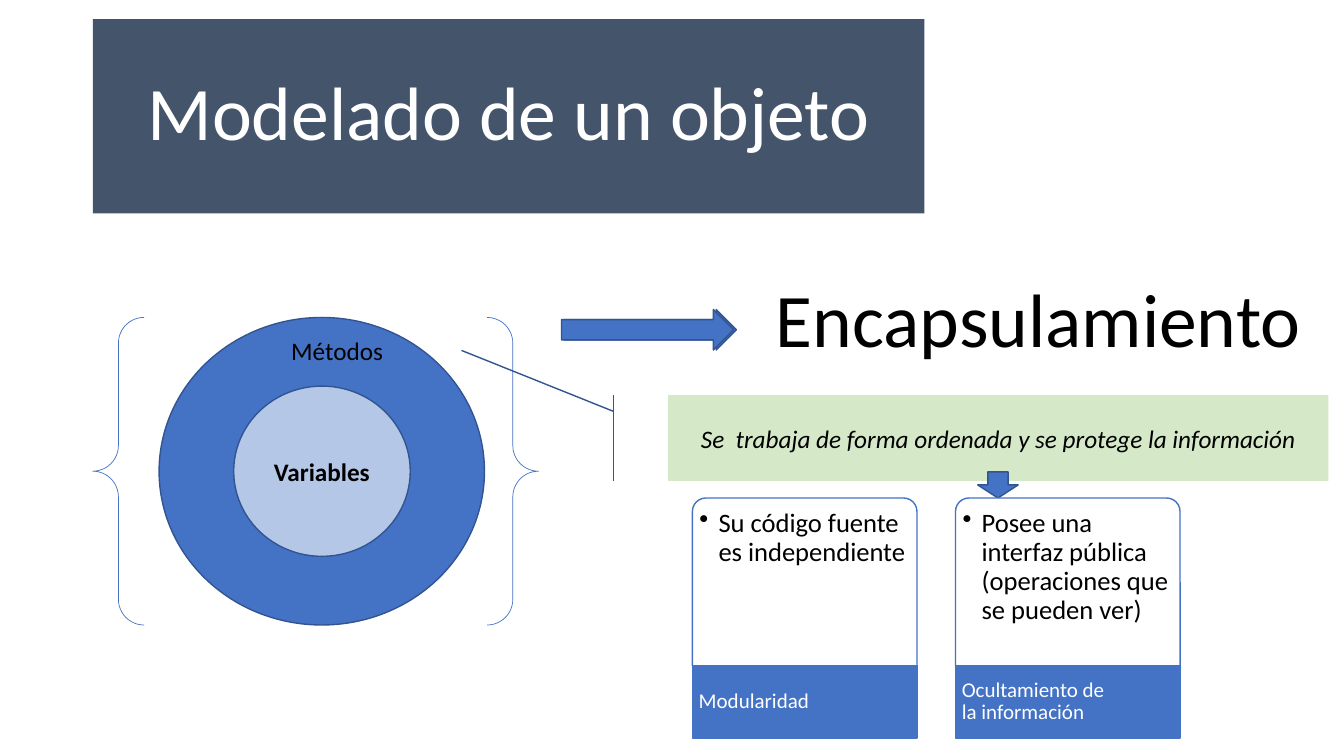
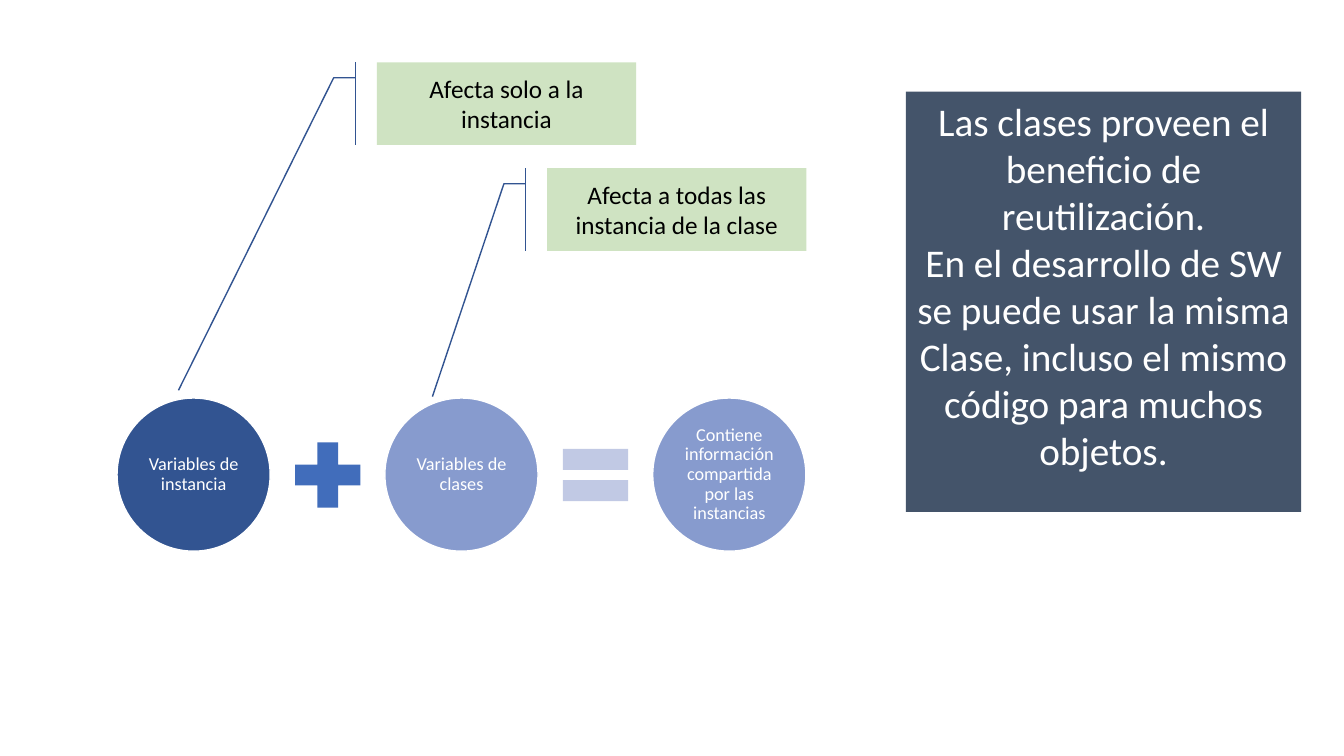
from lxml.etree import SubElement
from pptx import Presentation
from pptx.dml.color import RGBColor
from pptx.enum.shapes import MSO_SHAPE
from pptx.enum.text import MSO_ANCHOR, PP_ALIGN
from pptx.oxml.ns import qn
from pptx.util import Cm, Pt

FONT = "Calibri"
COLORS = {
    "white": "FFFFFF",
    "black": "000000",
    "slate": "44546A",
    "blue": "4472C4",
    "dark_blue": "325491",
    "pale_blue": "B4C7E7",
    "plus_blue": "416DBB",
    "soft_blue": "879BCE",
    "equal_blue": "C1C9E4",
    "pale_green": "C5E0B4",
    "green": "70AD47",
}


def add_figure(page, kind, left, top, width, height, fill=None, opacity=100,
               line=None, line_width=1, adjustments=()):
    """Add a preset shape; lengths in cm, opacity in percent, colours by name."""
    shape = page.shapes.add_shape(kind, Cm(left), Cm(top), Cm(width), Cm(height))
    shape.shadow.inherit = False
    for index, value in enumerate(adjustments):
        shape.adjustments[index] = value
    if fill:
        shape.fill.solid()
        shape.fill.fore_color.rgb = RGBColor.from_string(COLORS[fill])
        if opacity < 100:
            color = shape.element.spPr.find(qn("a:solidFill")).find(qn("a:srgbClr"))
            SubElement(color, qn("a:alpha"), val=str(opacity * 1000))
    else:
        shape.fill.background()
    if line:
        shape.line.color.rgb = RGBColor.from_string(COLORS[line])
        shape.line.width = Pt(line_width)
    else:
        shape.line.fill.background()
    return shape


def write_text(shape, *texts, size=18, color="black", bold=False, italic=False,
               align=PP_ALIGN.CENTER, anchor=MSO_ANCHOR.MIDDLE, spacing=1.0,
               insets=(0.25, 0.13, 0.25, 0.13), wrap=True, bullet_indent=None):
    """Write one paragraph per text; insets are left, top, right, bottom in cm."""
    frame = shape.text_frame
    frame.word_wrap = wrap
    frame.vertical_anchor = anchor
    (frame.margin_left, frame.margin_top,
     frame.margin_right, frame.margin_bottom) = map(Cm, insets)
    for index, text in enumerate(texts):
        para = frame.add_paragraph() if index else frame.paragraphs[0]
        para.alignment = align
        para.line_spacing = spacing
        if bullet_indent:
            properties = para._p.get_or_add_pPr()
            properties.set("marL", str(Cm(bullet_indent)))
            properties.set("indent", str(-Cm(bullet_indent)))
            SubElement(properties, qn("a:buChar"), char="•")
        span = para.add_run()
        span.text = text
        span.font.name = FONT
        span.font.size = Pt(size)
        span.font.bold = bold
        span.font.italic = italic
        span.font.color.rgb = RGBColor.from_string(COLORS[color])


deck = Presentation()
deck.slide_width, deck.slide_height = Cm(33.87), Cm(19.05)
blank = deck.slide_layouts[6]
outlined = {"fill": "blue", "line": "dark_blue"}

# Slide 1: object model and encapsulation
page = deck.slides.add_slide(blank)
add_figure(page, MSO_SHAPE.OVAL, 4.01, 8, 8.2, 7.75, **outlined)
variables = add_figure(page, MSO_SHAPE.OVAL, 5.89, 9.73, 4.45, 4.29,
                       fill="pale_blue", line="dark_blue")
write_text(variables, "Variables", bold=True)
methods = page.shapes.add_textbox(Cm(7.09), Cm(8.31), Cm(2.84), Cm(1.02))
write_text(methods, "Métodos", align=PP_ALIGN.LEFT, anchor=MSO_ANCHOR.TOP, wrap=False)

title = add_figure(page, MSO_SHAPE.RECTANGLE, 2.34, 0.48, 20.96, 4.9, fill="slate")
write_text(title, "Modelado de un objeto", size=54, color="white", spacing=0.9)
add_figure(page, MSO_SHAPE.DOUBLE_BRACE, 2.34, 8, 11.23, 7.75,
           line="blue", line_width=0.5)

heading = page.shapes.add_textbox(Cm(19.23), Cm(6.73), Cm(13.87), Cm(2.57))
write_text(heading, "Encapsulamiento", size=54, anchor=MSO_ANCHOR.TOP, wrap=False)
benefit = add_figure(page, MSO_SHAPE.LINE_CALLOUT_1_ACCENT_BAR, 16.84, 9.96, 16.64, 2.16,
                     fill="pale_green", opacity=72, line="dark_blue",
                     adjustments=(0.188, -0.083, -0.523, -0.313))
write_text(benefit, "Se  trabaja de forma ordenada y se protege la información",
           italic=True)
for left in (14.22, 14.15):
    add_figure(page, MSO_SHAPE.RIGHT_ARROW, left, 7.8, 4.34, 1.02, **outlined)
add_figure(page, MSO_SHAPE.DOWN_ARROW, 24.64, 11.89, 1.02, 0.66, **outlined)

cards = [
    ("Su código fuente es independiente", "Modularidad"),
    ("Posee una interfaz pública (operaciones que se pueden ver)",
     "Ocultamiento de la información"),
]
for index, (detail, name) in enumerate(cards):
    left = 17.45 + index * 6.63
    body = add_figure(page, MSO_SHAPE.ROUND_2_SAME_RECTANGLE, left, 12.55, 5.66, 4.23,
                      fill="white", opacity=90, line="blue", adjustments=(0.08, 0))
    write_text(body, detail, size=19, align=PP_ALIGN.LEFT, anchor=MSO_ANCHOR.TOP,
               spacing=0.9, insets=(0.08, 0.2, 0.08, 0.08), bullet_indent=0.48)
    footer = add_figure(page, MSO_SHAPE.RECTANGLE, left, 16.77, 5.66, 1.83,
                        fill="blue", line="blue")
    write_text(footer, name, size=15, color="white", align=PP_ALIGN.LEFT,
               spacing=0.9, insets=(0.16, 0, 1.73, 0))

# Slide 2: instance and class variables
page = deck.slides.add_slide(blank)
step = 6.75
circles = [
    ("Variables de instancia", "dark_blue"),
    ("Variables de clases", "soft_blue"),
    ("Contiene información compartida por las instancias", "soft_blue"),
]
for index, (text, fill) in enumerate(circles):
    circle = add_figure(page, MSO_SHAPE.OVAL, 2.95 + index * step, 10.03, 3.86, 3.86,
                        fill=fill, line="white")
    write_text(circle, text, size=13, color="white", spacing=0.9, insets=(0.05,) * 4)

operators = [(MSO_SHAPE.MATH_PLUS, "plus_blue"), (MSO_SHAPE.MATH_EQUAL, "equal_blue")]
for index, (kind, fill) in enumerate(operators):
    add_figure(page, kind, 7.14 + index * step, 10.85, 2.24, 2.24, fill=fill)

callouts = [
    ("Afecta solo a la instancia", 9.5, 1.57, (3.974, -0.766)),
    ("Afecta a todas las instancia de la clase", 13.79, 4.24, (2.767, -0.443)),
]
for text, left, top, tip in callouts:
    callout = add_figure(page, MSO_SHAPE.LINE_CALLOUT_2_ACCENT_BAR, left, top, 6.53, 2.08,
                         fill="green", opacity=33, line="dark_blue",
                         adjustments=(0.188, -0.083, 0.188, -0.167, *tip))
    write_text(callout, text)

summary = add_figure(page, MSO_SHAPE.RECTANGLE, 22.83, 2.31, 9.96, 10.59, fill="slate")
write_text(summary, "Las clases proveen el beneficio de reutilización.",
           "En el desarrollo de SW se puede usar la misma Clase, "
           "incluso el mismo código para muchos objetos.",
           size=28, color="white", anchor=MSO_ANCHOR.TOP)

deck.save("out.pptx")
